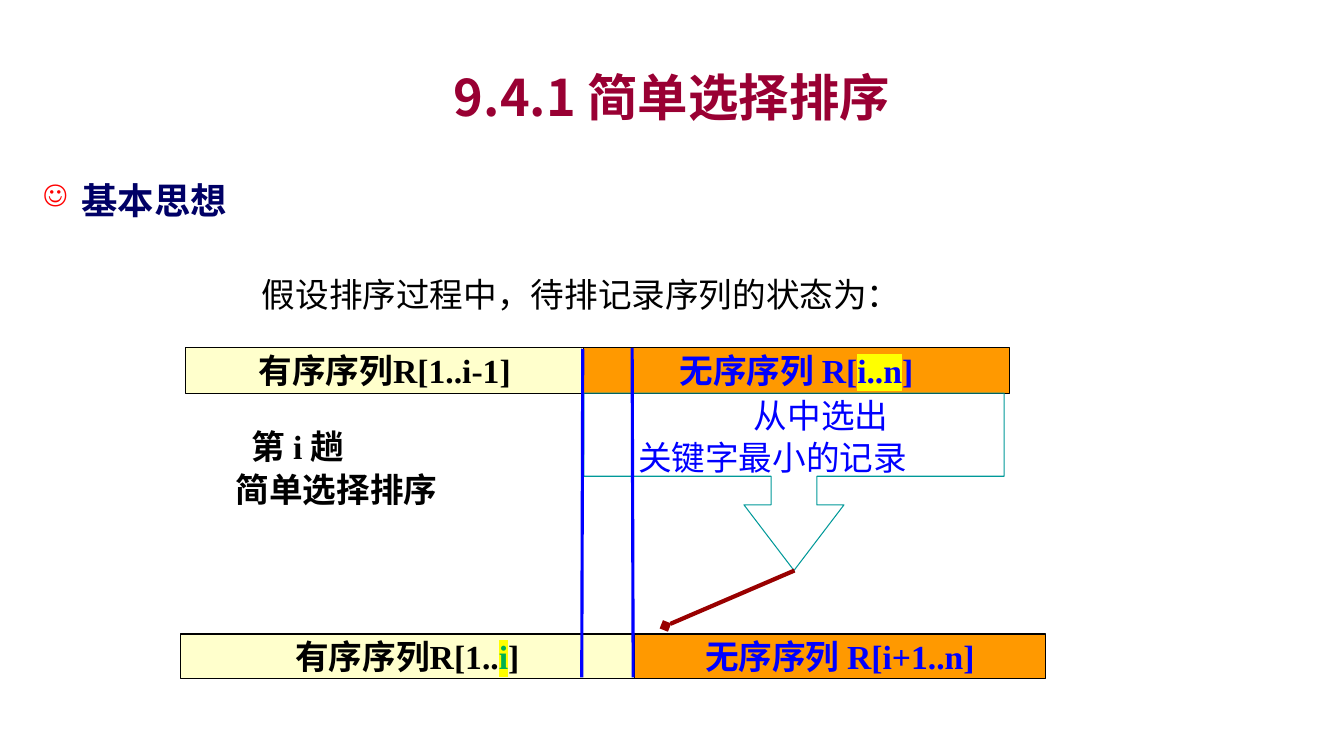
from lxml import etree
from pptx import Presentation
from pptx.dml.color import RGBColor
from pptx.enum.shapes import MSO_CONNECTOR, MSO_SHAPE
from pptx.enum.text import MSO_ANCHOR, MSO_AUTO_SIZE, PP_ALIGN
from pptx.oxml.ns import qn
from pptx.util import Inches, Pt

RECT, CALLOUT = MSO_SHAPE.RECTANGLE, MSO_SHAPE.DOWN_ARROW_CALLOUT
LINE = MSO_CONNECTOR.STRAIGHT
LEFT, CENTER = PP_ALIGN.LEFT, PP_ALIGN.CENTER
TOP, MIDDLE = MSO_ANCHOR.TOP, MSO_ANCHOR.MIDDLE
GROW = MSO_AUTO_SIZE.SHAPE_TO_FIT_TEXT

BLACK = RGBColor(0x00, 0x00, 0x00)
BLUE = RGBColor(0x00, 0x00, 0xFF)
NAVY = RGBColor(0x00, 0x00, 0x66)
WINE = RGBColor(0x99, 0x00, 0x33)
RED = RGBColor(0x99, 0x00, 0x00)
TEAL = RGBColor(0x00, 0x99, 0x99)
GREEN = RGBColor(0x00, 0xB0, 0x50)
CREAM = RGBColor(0xFF, 0xFF, 0xCC)
ORANGE = RGBColor(0xFF, 0x99, 0x00)
YELLOW, BULLET = "FFFF00", "FF0000"
SANS, SERIF = "Noto Sans CJK SC", "Times New Roman"

# Each run: text, colour, highlighted
TITLE = [("9.4.1 简单选择排序", WINE, False)]
IDEA = [("基本思想", NAVY, False)]
STATE = [("假设排序过程中，待排记录序列的状态为：", BLACK, False)]
PASS = [[("第 i 趟", BLACK, False)], [("简单选择排序", BLACK, False)]]
PICK = [[("从中选出", BLUE, False)], [("关键字最小的记录", BLUE, False)]]

# Each bar: left, top, width, height, fill, runs
BARS = [
    (1.84, 3.45, 3.95, 0.45, CREAM, [("有序序列R[1..i-1]", BLACK, False)]),
    (5.79, 3.45, 4.22, 0.45, ORANGE,
     [("无序序列 R[", BLUE, False), ("i..n", BLUE, True), ("]", BLUE, False)]),
    (1.79, 6.29, 4.5, 0.44, CREAM,
     [("有序序列R[1..", BLACK, False), ("i", GREEN, True), ("]", BLACK, False)]),
    (6.29, 6.29, 4.08, 0.44, ORANGE, [("无序序列 R[i+1..n]", BLUE, False)]),
]
FUNNEL = (5.79, 3.9, 4.17, 1.76)
FUNNEL_ADJ = (0.258, 0.282, 0.37, 0.469)
ARROW = (7.88, 5.66, 6.6, 6.21)
GUIDES = [(5.78, 3.46, 5.77, 6.72), (6.27, 3.45, 6.28, 6.72)]


def write(frame, paras, size=24, font=SERIF, bold=True, align=LEFT,
          anchor=TOP, wrap=True, spacing=None):
    frame.word_wrap = wrap
    frame.vertical_anchor = anchor
    for i, runs in enumerate(paras):
        para = frame.add_paragraph() if i else frame.paragraphs[0]
        para.alignment = align
        if spacing:
            para.line_spacing = spacing
        for text, color, marked in runs:
            run = para.add_run()
            run.text = text
            run.font.size, run.font.bold, run.font.name = Pt(size), bold, font
            run.font.color.rgb = color
            props = run.font._element
            latin = props.find(qn("a:latin"))
            east = etree.Element(qn("a:ea"), typeface=SANS)
            latin.addnext(east)
            if marked:
                mark = etree.Element(qn("a:highlight"))
                etree.SubElement(mark, qn("a:srgbClr"), val=YELLOW)
                latin.addprevious(mark)


def label(shapes, box, paras, **style):
    frame = shapes.add_textbox(*map(Inches, box)).text_frame
    write(frame, paras, **style)
    return frame


def outline(shapes, kind, box, color):
    shape = shapes.add_shape(kind, *map(Inches, box))
    shape.shadow.inherit = False
    shape.line.color.rgb, shape.line.width = color, Pt(0.75)
    return shape


def join(shapes, ends, color, width):
    line = shapes.add_connector(LINE, *map(Inches, ends))
    line.line.color.rgb, line.line.width = color, Pt(width)
    etree.SubElement(line._element.spPr, qn("a:effectLst"))
    return line


def add_bullet(para):
    para.space_before = para.space_after = Pt(6)
    props = para._p.get_or_add_pPr()
    props.set("marL", str(Inches(0.38)))
    props.set("indent", str(-Inches(0.38)))
    color = etree.SubElement(props, qn("a:buClr"))
    etree.SubElement(color, qn("a:srgbClr"), val=BULLET)
    etree.SubElement(props, qn("a:buSzPct"), val="80000")
    etree.SubElement(props, qn("a:buChar"), char="☺")


def main():
    deck = Presentation()
    deck.slide_width, deck.slide_height = Inches(13.33), Inches(7.5)
    shapes = deck.slides.add_slide(deck.slide_layouts[6]).shapes

    label(shapes, (1, 0.58, 11.33, 0.75), [TITLE], size=36, font=SANS,
          align=CENTER, anchor=MIDDLE)
    idea = label(shapes, (0.33, 1.5, 12.67, 0.58), [IDEA], size=26,
                 font=SANS, spacing=1.5)
    add_bullet(idea.paragraphs[0])
    state = label(shapes, (2.5, 2.67, 6.53, 0.5), [STATE], bold=False,
                  wrap=False)
    state.auto_size = GROW

    for *box, fill, runs in BARS:
        bar = outline(shapes, RECT, box, BLACK)
        bar.fill.solid()
        bar.fill.fore_color.rgb = fill
        write(bar.text_frame, [runs], align=CENTER, anchor=MIDDLE, wrap=False)

    turn = label(shapes, (2.24, 4.16, 3.39, 0.94), PASS, spacing=1.05)
    turn.auto_size = GROW
    turn.paragraphs[0]._p.get_or_add_pPr().set("marL", str(Inches(0.16)))
    pick = label(shapes, (6.23, 3.85, 3.83, 0.94), PICK, bold=False,
                 spacing=1.05)
    pick.auto_size = GROW
    pick.paragraphs[0].alignment = CENTER

    funnel = outline(shapes, CALLOUT, FUNNEL, TEAL)
    funnel.fill.background()
    for i, value in enumerate(FUNNEL_ADJ):
        funnel.adjustments[i] = value

    arrow = join(shapes, ARROW, RED, 3)
    etree.SubElement(arrow.line._get_or_add_ln(), qn("a:tailEnd"),
                     type="diamond")
    pair = shapes.add_group_shape().shapes
    for ends in GUIDES:
        join(pair, ends, BLUE, 2.25)

    deck.save("out.pptx")


if __name__ == "__main__":
    main()
